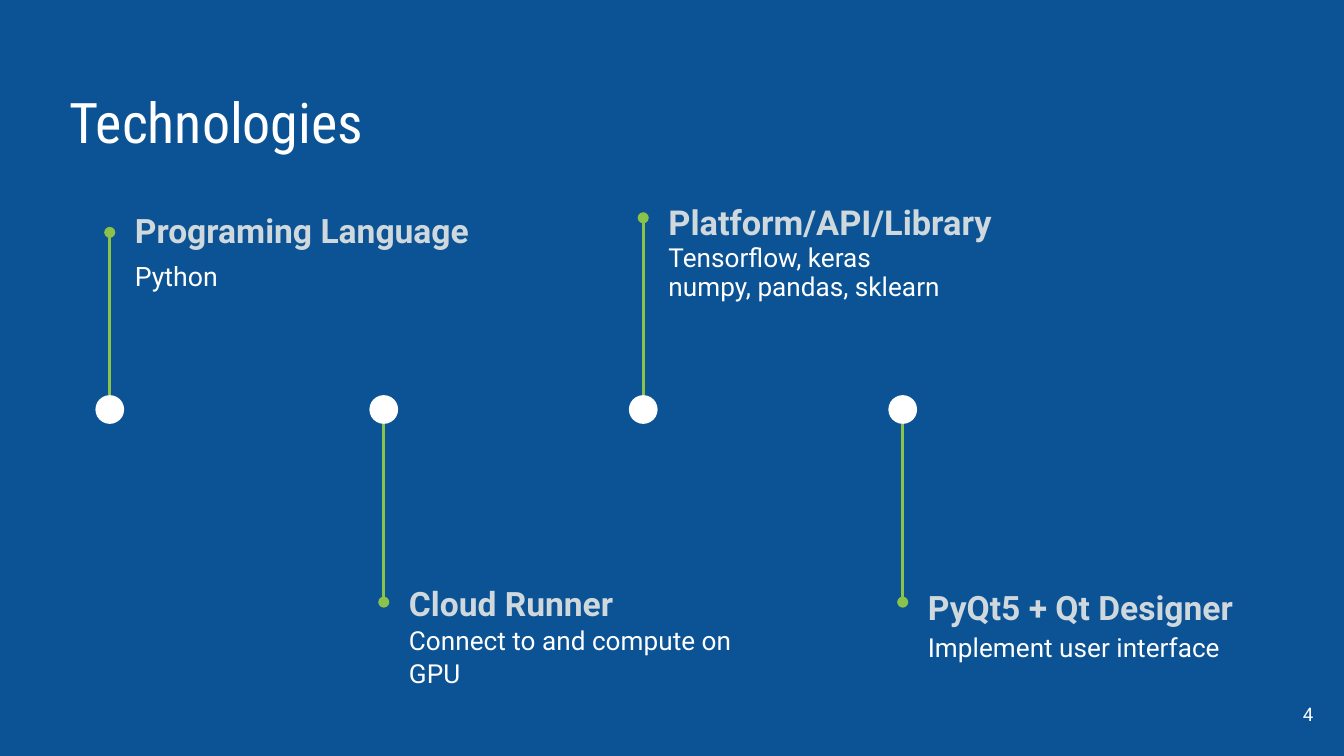
import pptx
import pptx.util
import pptx.dml.color
import pptx.enum.shapes
import pptx.enum.text
import pptx.oxml.ns
from lxml import etree

Pt = pptx.util.Pt
RGBColor = pptx.dml.color.RGBColor
Anchor = pptx.enum.text.MSO_ANCHOR
Align = pptx.enum.text.PP_ALIGN
qn = pptx.oxml.ns.qn

BLUE = RGBColor(0x0B, 0x53, 0x94)
WHITE = RGBColor(0xFF, 0xFF, 0xFF)
GREEN = RGBColor(0x8B, 0xC3, 0x4A)
GREY = RGBColor(0xCF, 0xD8, 0xDC)

AXIS = 219.4
RADIUS = 7.7
FIRST_STOP = 58.8
SECOND_STOP = 205.6
PITCH = 139
TEXT_GAP = 6.4
TOP_TEXT = 102.2
BOTTOM_TEXT = 303.8


class TimelinePage:
    body_font = "Roboto"
    title_font = "Roboto Condensed"

    def __init__(self, deck):
        self.page = deck.slides.add_slide(deck.slide_layouts[6])
        fill = self.page.background.fill
        fill.solid()
        fill.fore_color.rgb = BLUE

    def box(self, left, top, width, height, anchor=Anchor.TOP):
        frame = self.page.shapes.add_textbox(
            Pt(left), Pt(top), Pt(width), Pt(height)).text_frame
        frame.word_wrap = True
        frame.vertical_anchor = anchor
        frame.margin_left = frame.margin_right = Pt(7.2)
        frame.margin_top = frame.margin_bottom = Pt(7.2)
        return frame

    def style_text(self, para, text, size, color=WHITE, bold=False,
                   name=body_font):
        para.text = text
        para.font.name = name
        para.font.size = Pt(size)
        para.font.bold = bold
        para.font.color.rgb = color

    def title(self, text):
        frame = self.box(30.2, 36, 658.8, 54, Anchor.BOTTOM)
        self.style_text(frame.paragraphs[0], text, 30, name=self.title_font)

    def number(self, text):
        frame = self.box(667.4, 367.2, 43.2, 31, Anchor.MIDDLE)
        frame.paragraphs[0].alignment = Align.RIGHT
        self.style_text(frame.paragraphs[0], text, 10)

    def stem(self, center, end):
        start = AXIS + (RADIUS if end > AXIS else -RADIUS)
        line = self.page.shapes.add_connector(
            pptx.enum.shapes.MSO_CONNECTOR.STRAIGHT,
            Pt(center), Pt(start), Pt(center), Pt(end))
        line.line.color.rgb = GREEN
        line.line.width = Pt(1.5)
        outline = line._element.spPr.find(qn("a:ln"))
        etree.SubElement(outline, qn("a:tailEnd"), type="oval")
        etree.SubElement(line._element.spPr, qn("a:effectLst"))

    def dot(self, center):
        dot = self.page.shapes.add_shape(
            pptx.enum.shapes.MSO_SHAPE.OVAL, Pt(center - RADIUS),
            Pt(AXIS - RADIUS), Pt(2 * RADIUS), Pt(2 * RADIUS))
        dot.shadow.inherit = False
        dot.fill.solid()
        dot.fill.fore_color.rgb = WHITE
        dot.line.fill.background()

    def entry(self, center, top, heading, heading_size, detail, detail_size,
              heading_spacing, detail_spacing):
        frame = self.box(center + TEXT_GAP, top, 209.5, 76.3)
        para = frame.paragraphs[0]
        para.line_spacing = heading_spacing
        self.style_text(para, heading, heading_size, GREY, True)
        para = frame.add_paragraph()
        para.line_spacing = detail_spacing
        self.style_text(para, detail, detail_size)


def main():
    deck = pptx.Presentation()
    deck.slide_width = Pt(720)
    deck.slide_height = Pt(405)
    page = TimelinePage(deck)
    page.title("Technologies")

    centers = [FIRST_STOP] + [SECOND_STOP + PITCH * i for i in range(3)]
    entries = [
        (124.5, TOP_TEXT, "Programing Language", 18, "Python", 14.3, 1.15, 1.3),
        (322.6, BOTTOM_TEXT, "Cloud Runner", 18,
         "Connect to and compute on GPU", 14, 1.05, 1.05),
        (116.7, TOP_TEXT, "Platform/API/Library", 18.4,
         "Tensorflow, keras\vnumpy, pandas, sklearn", 14, 0.95, 0.95),
        (322.6, BOTTOM_TEXT, "PyQt5 + Qt Designer", 18,
         "Implement user interface", 14, 1.15, 1.15),
    ]
    for center, (stem_end, *details) in zip(centers, entries):
        page.stem(center, stem_end)
        page.dot(center)
        page.entry(center, *details)

    page.number("4")
    deck.save("out.pptx")


if __name__ == "__main__":
    main()
